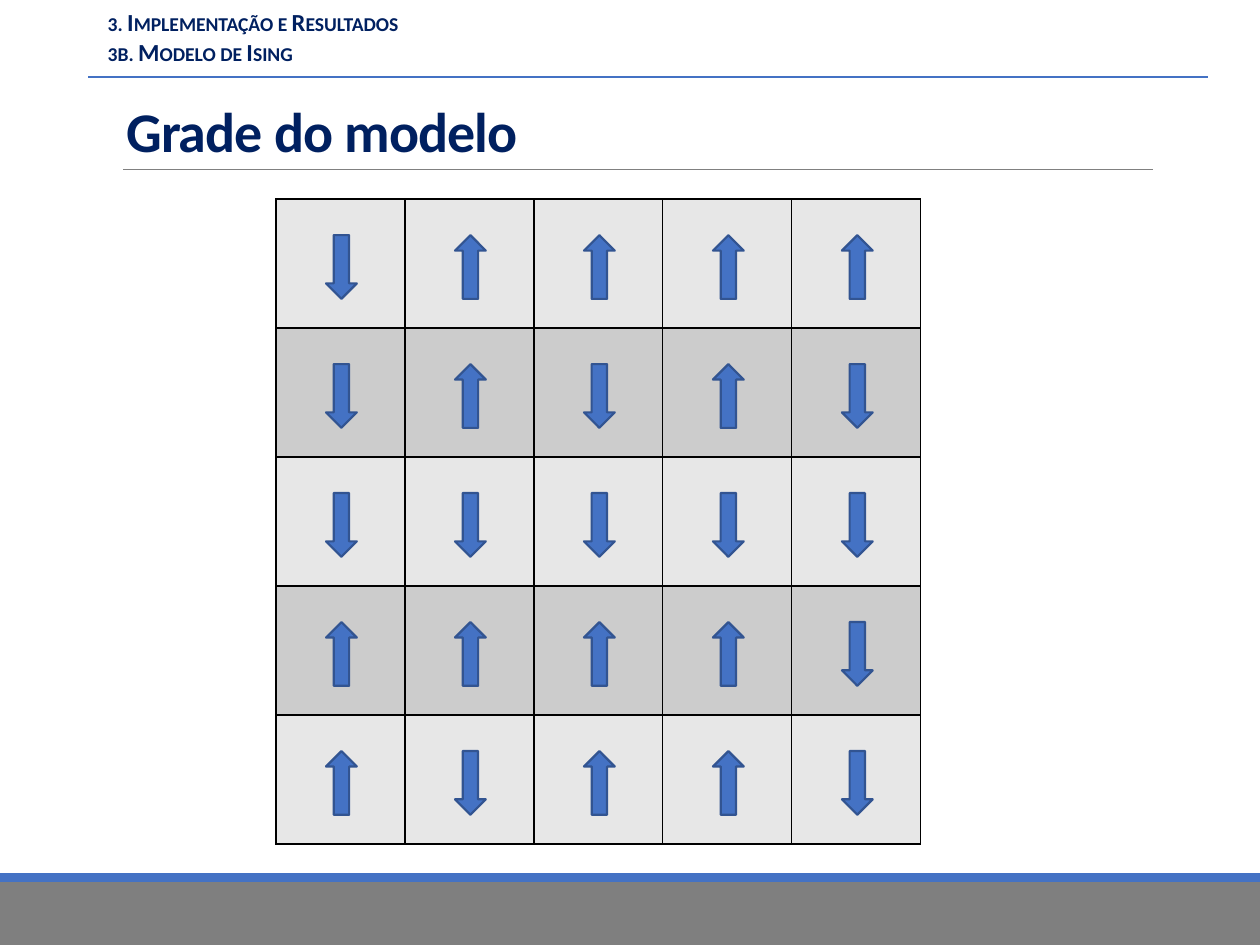
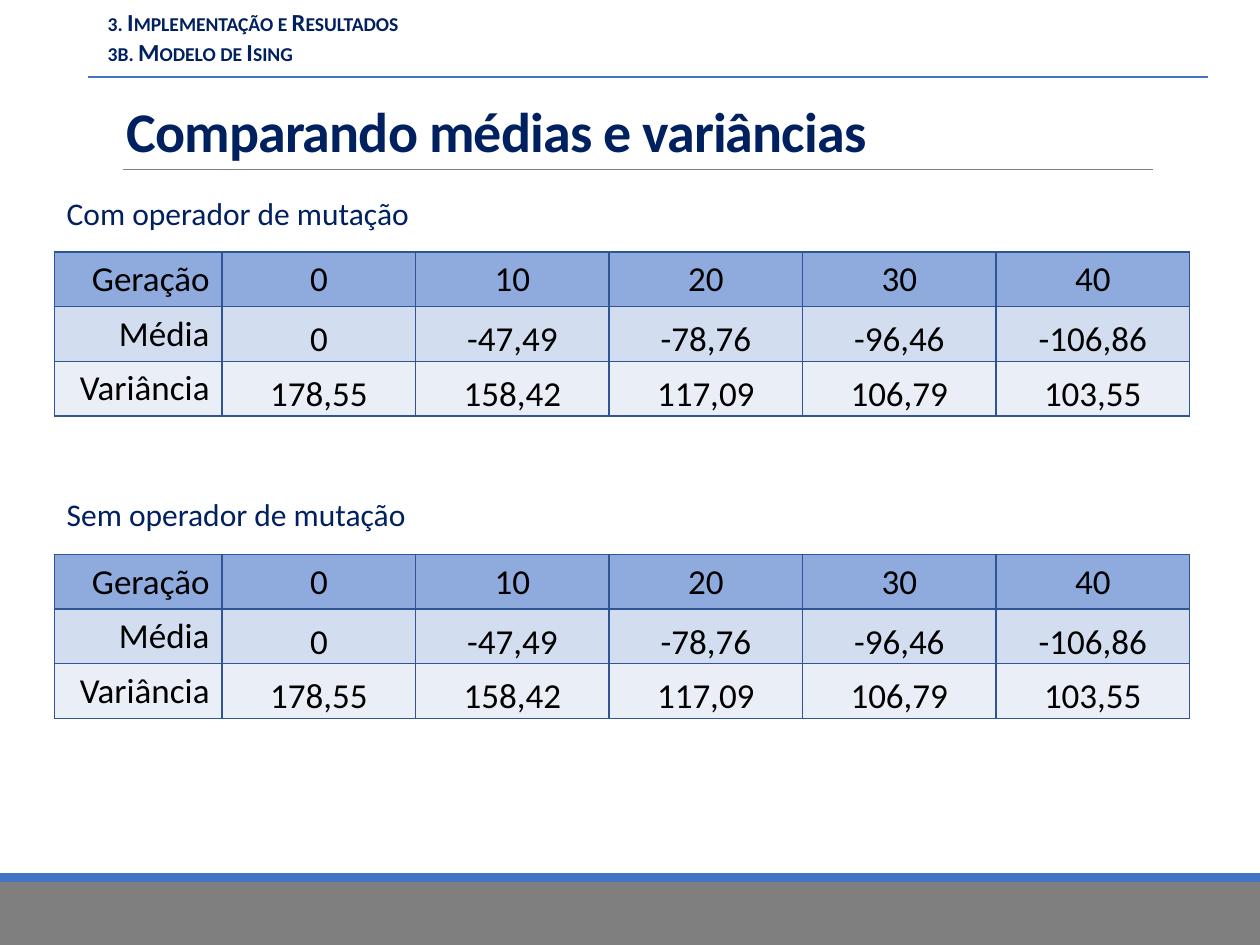
"""Build two slides on the Ising model: the spin grid and the mutation tables."""
from dataclasses import dataclass
from typing import Optional

from lxml.etree import SubElement
from pptx import Presentation
from pptx.dml.color import RGBColor
from pptx.enum.shapes import MSO_CONNECTOR as Link, MSO_SHAPE as Kind
from pptx.enum.text import MSO_ANCHOR as Anchor, MSO_AUTO_SIZE as Fit, PP_ALIGN as Align
from pptx.oxml.ns import qn
from pptx.shapes.autoshape import Shape
from pptx.slide import Slide
from pptx.table import Table, _Cell as Cell
from pptx.text.text import _Paragraph as Para
from pptx.util import Pt

FACE = "Calibri"
NAVY = RGBColor(0x00, 0x20, 0x60)
BLUE = RGBColor(0x44, 0x72, 0xC4)
EDGE = RGBColor(0x32, 0x54, 0x91)
FRAME = RGBColor(0x2F, 0x55, 0x97)
BLACK = RGBColor(0x00, 0x00, 0x00)
GRAY = RGBColor(0x80, 0x80, 0x80)
BASE = RGBColor(0x7F, 0x7F, 0x7F)
STRIPES = RGBColor(0xE7, 0xE7, 0xE7), RGBColor(0xCC, 0xCC, 0xCC)
TINTS = RGBColor(0x8F, 0xAA, 0xDC), RGBColor(0xD2, 0xDE, 0xEF), RGBColor(0xEA, 0xEF, 0xF7)

HEADS = ["3. Implementação e Resultados", "3b. Modelo de Ising"]
SPINS = ["↓↑↑↑↑", "↓↑↓↑↓", "↓↓↓↓↓", "↑↑↑↑↓", "↑↓↑↑↓"]
STATS = [
    ["Geração", "0", "10", "20", "30", "40"],
    ["Média", "0", "-47,49", "-78,76", "-96,46", "-106,86"],
    ["Variância", "178,55", "158,42", "117,09", "106,79", "103,55"],
]


@dataclass(frozen=True)
class Box:
    left: float
    top: float
    width: float
    height: float

    def args(self) -> list[Pt]:
        return [Pt(n) for n in (self.left, self.top, self.width, self.height)]


@dataclass(frozen=True)
class Band:
    box: Box
    fill: RGBColor


@dataclass(frozen=True)
class Rule:
    start: float
    end: float
    top: float
    color: RGBColor
    weight: float


@dataclass(frozen=True)
class Trial:
    name: str
    label: Box
    table: Box


BANDS = [
    Band(Box(0, 504, 720, 36), BASE),
    Band(Box(0, 499, 720, 5), BLUE),
]
RULES = [
    Rule(70.5, 659, 97, GRAY, 0.5),
    Rule(50.5, 690.5, 44, BLUE, 1),
]
TITLE = Box(65, 49.6, 594, 47.5)
HEADER = Box(54.5, 0.7, 185, 40.3)
GRID = Box(157.6, 113.7, 368.6, 368.6)
ARROW = Box(186.3, 134.4, 17.6, 36.4)
STEP = 73.7
TRIALS = [
    Trial("Com operador de mutação", Box(31, 107.5, 212.4, 29), Box(31, 144, 648.8, 93.6)),
    Trial("Sem operador de mutação", Box(31, 279.5, 210.2, 29), Box(31, 316.8, 648.8, 93.6)),
]


def style(para: Para, size: float, color: RGBColor, bold: bool = False) -> None:
    font = para.font
    font.name, font.size, font.bold = FACE, Pt(size), bold
    font.color.rgb = color


def draw(slide: Slide, kind: Kind, box: Box, fill: RGBColor,
         edge: Optional[RGBColor] = None) -> Shape:
    shape = slide.shapes.add_shape(kind, *box.args())
    shape.shadow.inherit = False
    shape.fill.solid()
    shape.fill.fore_color.rgb = fill
    if edge is None:
        shape.line.fill.background()
    else:
        shape.line.color.rgb = edge
        shape.line.width = Pt(1.25)
    return shape


def rule(slide: Slide, item: Rule) -> None:
    top = Pt(item.top)
    line = slide.shapes.add_connector(Link.STRAIGHT, Pt(item.start), top, Pt(item.end), top)
    line.line.color.rgb = item.color
    line.line.width = Pt(item.weight)
    SubElement(line._element.spPr, qn("a:effectLst"))


def write(slide: Slide, box: Box, lines: list[str], size: float,
          bold: bool = False, small: bool = False) -> None:
    frame = slide.shapes.add_textbox(*box.args()).text_frame
    frame.word_wrap = False
    frame.auto_size = Fit.SHAPE_TO_FIT_TEXT
    frame.text = "\n".join(lines)
    for para in frame.paragraphs:
        style(para, size, NAVY, bold)
        if small:
            para.font._element.set("cap", "small")


def start(deck: Presentation, name: str) -> Slide:
    slide = deck.slides.add_slide(deck.slide_layouts[5])
    for band in BANDS:
        draw(slide, Kind.RECTANGLE, band.box, band.fill)
    for item in RULES:
        rule(slide, item)
    title = slide.shapes.title
    title.left, title.top, title.width, title.height = TITLE.args()
    frame = title.text_frame
    frame.text = name
    frame.auto_size = Fit.NONE
    frame.vertical_anchor = Anchor.BOTTOM
    para = frame.paragraphs[0]
    para.alignment = Align.LEFT
    para.line_spacing = 0.85
    style(para, 32, NAVY, True)
    para.font._element.set("spc", "-50")
    write(slide, HEADER, HEADS, 14, True, True)
    return slide


def paint(cell: Cell, fill: RGBColor, edge: RGBColor) -> None:
    props = cell._tc.get_or_add_tcPr()
    for side in ("lnL", "lnR", "lnT", "lnB"):
        line = SubElement(props, qn(f"a:{side}"), w=str(Pt(1)))
        solid = SubElement(line, qn("a:solidFill"))
        SubElement(solid, qn("a:srgbClr"), val=str(edge))
    cell.fill.solid()
    cell.fill.fore_color.rgb = fill


def lay(slide: Slide, box: Box, rows: int, widths: list[float]) -> Table:
    table = slide.shapes.add_table(rows, len(widths), *box.args()).table
    table.first_row = table.horz_banding = False
    for col, width in zip(table.columns, widths):
        col.width = Pt(width)
    for row in table.rows:
        row.height = Pt(box.height / rows)
    return table


def lattice(slide: Slide) -> None:
    count = len(SPINS)
    table = lay(slide, GRID, count, [GRID.width / count] * count)
    for r, spins in enumerate(SPINS):
        for c, spin in enumerate(spins):
            paint(table.cell(r, c), STRIPES[r % 2], BLACK)
            box = Box(ARROW.left + c * STEP, ARROW.top + r * STEP, ARROW.width, ARROW.height)
            arrow = draw(slide, Kind.DOWN_ARROW, box, BLUE, EDGE)
            arrow.rotation = 180 if spin == "↑" else 0


def report(slide: Slide, trial: Trial) -> None:
    table = lay(slide, trial.table, len(STATS), [96] + [110.56] * 5)
    for r, row in enumerate(STATS):
        for c, text in enumerate(row):
            cell = table.cell(r, c)
            paint(cell, TINTS[r], FRAME)
            cell.text = text
            cell.vertical_anchor = Anchor.BOTTOM
            para = cell.text_frame.paragraphs[0]
            para.alignment = Align.CENTER if c else Align.RIGHT
            style(para, 20, BLACK)
            if r and c:
                cell.margin_left = cell.margin_right = cell.margin_top = Pt(0.75)
                cell.margin_bottom = Pt(0)
    write(slide, trial.label, [trial.name], 18)


def main() -> None:
    deck = Presentation()
    deck.slide_width, deck.slide_height = Pt(720), Pt(540)
    lattice(start(deck, "Grade do modelo"))
    slide = start(deck, "Comparando médias e variâncias")
    for trial in TRIALS:
        report(slide, trial)
    deck.save("out.pptx")


if __name__ == "__main__":
    main()
